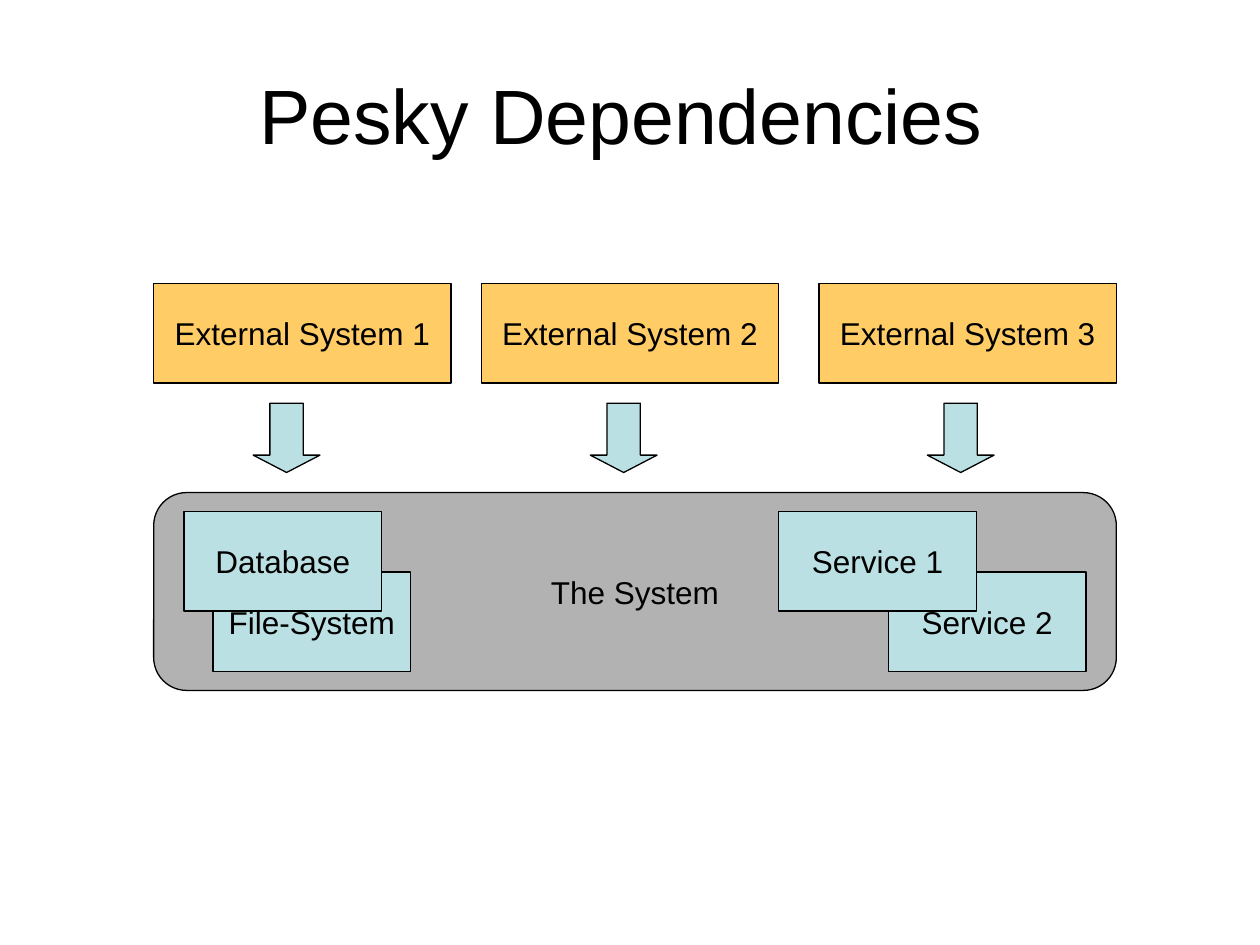
from pptx import Presentation
from pptx.dml.color import RGBColor
from pptx.enum.shapes import MSO_SHAPE
from pptx.enum.text import MSO_ANCHOR, PP_ALIGN
from pptx.util import Inches, Pt

PROCESS = MSO_SHAPE.FLOWCHART_PROCESS
ROUNDED = MSO_SHAPE.FLOWCHART_ALTERNATE_PROCESS
DOWN_ARROW = MSO_SHAPE.DOWN_ARROW
MIDDLE = MSO_ANCHOR.MIDDLE
CENTER = PP_ALIGN.CENTER

FONT = "Arial"
BLACK, ORANGE, GRAY, TEAL = "000000", "FFCC66", "B2B2B2", "BBE0E3"
TITLE = "Pesky Dependencies"
SYSTEM = "The System"
EXTERNAL_SYSTEMS = [
    ("External System 1", 1.22),
    ("External System 2", 3.82),
    ("External System 3", 6.5),
]
# Back to front: label, left, top
COMPONENTS = [
    ("Service 2", 7.05, 4.54),
    ("Service 1", 6.18, 4.06),
    ("File-System", 1.69, 4.54),
    ("Database", 1.46, 4.06),
]
BOX_HEIGHT = 0.79
ARROW_LEFT, ARROW_STEP = 2.01, 2.675


def color(value):
    return RGBColor.from_string(value)


def write(frame, text, size):
    frame.vertical_anchor = MIDDLE
    para = frame.paragraphs[0]
    para.alignment = CENTER
    span = para.add_run()
    span.text = text
    span.font.name = FONT
    span.font.size = Pt(size)
    span.font.color.rgb = color(BLACK)


def add_block(page, kind, left, top, width, height, fill, text=None):
    """Add an outlined shape, with a centred label if text is given."""
    block = page.shapes.add_shape(
        kind, Inches(left), Inches(top), Inches(width), Inches(height))
    block.shadow.inherit = False
    block.fill.solid()
    block.fill.fore_color.rgb = color(fill)
    block.line.color.rgb = color(BLACK)
    block.line.width = Pt(0.75)
    if text:
        block.text_frame.word_wrap = False
        write(block.text_frame, text, 18)
    return block


def main():
    deck = Presentation()
    deck.slide_width, deck.slide_height = Inches(10), Inches(7.5)
    page = deck.slides.add_slide(deck.slide_layouts[5])

    title = page.shapes.title
    title.left, title.top = Inches(0.43), Inches(0.28)
    title.width, title.height = Inches(9), Inches(1.25)
    write(title.text_frame, TITLE, 44)

    for label, left in EXTERNAL_SYSTEMS:
        add_block(page, PROCESS, left, 2.25, 2.36, BOX_HEIGHT, ORANGE, label)
    add_block(page, ROUNDED, 1.22, 3.91, 7.64, 1.57, GRAY, SYSTEM)
    for index in range(len(EXTERNAL_SYSTEMS)):
        arrow = add_block(page, DOWN_ARROW, ARROW_LEFT + index * ARROW_STEP,
                          3.2, 0.53, 0.55, TEAL)
        arrow.adjustments[1] = 0.26
    for label, left, top in COMPONENTS:
        add_block(page, PROCESS, left, top, 1.57, BOX_HEIGHT, TEAL, label)

    deck.save("out.pptx")


if __name__ == "__main__":
    main()
